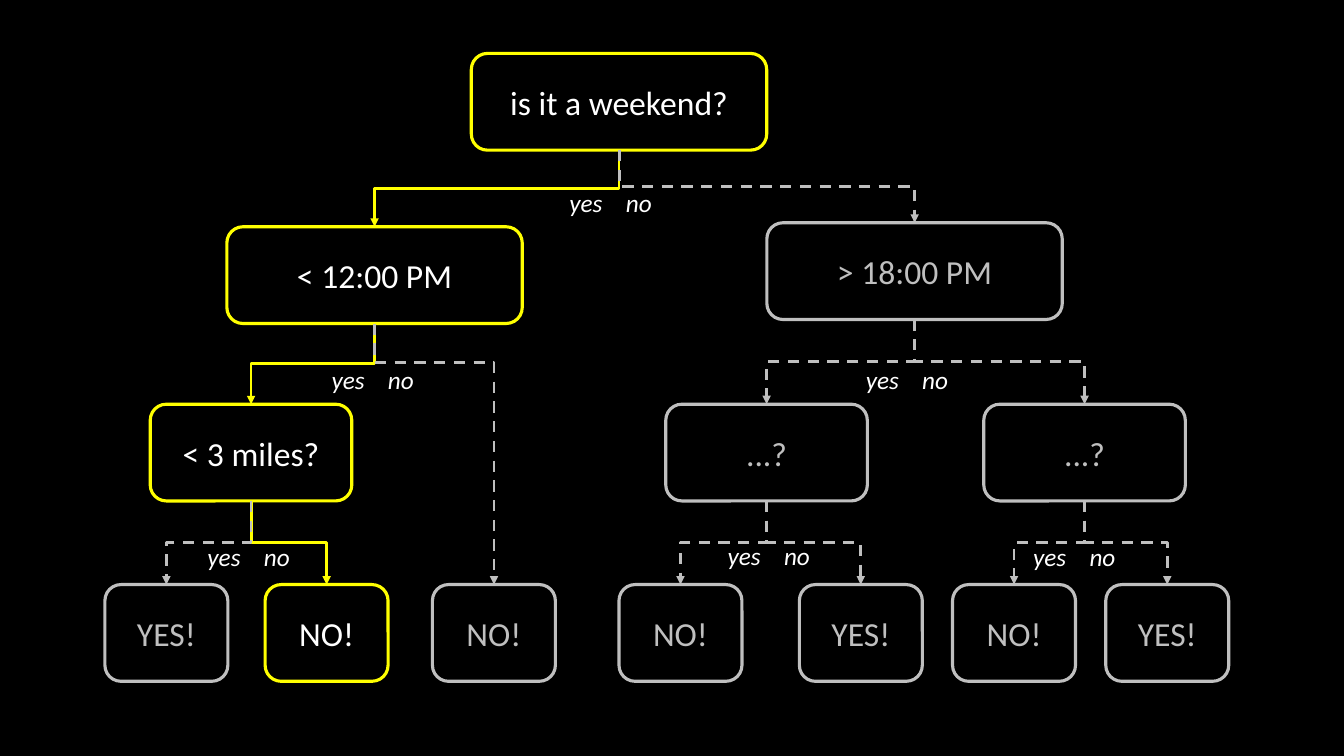
from dataclasses import dataclass

from lxml import etree
from pptx import Presentation
from pptx.dml.color import RGBColor
from pptx.enum.dml import MSO_LINE
from pptx.enum.shapes import MSO_CONNECTOR, MSO_SHAPE
from pptx.enum.text import MSO_ANCHOR, MSO_AUTO_SIZE, PP_ALIGN
from pptx.oxml.ns import qn
from pptx.util import Inches, Pt

ROUNDED, ELBOW, DASH = MSO_SHAPE.ROUNDED_RECTANGLE, MSO_CONNECTOR.ELBOW, MSO_LINE.DASH
MIDDLE, CENTER, GROW = MSO_ANCHOR.MIDDLE, PP_ALIGN.CENTER, MSO_AUTO_SIZE.SHAPE_TO_FIT_TEXT
BOTTOM, TOP = 2, 0
WIDTH, HEIGHT = Inches(13.333), Inches(7.5)


@dataclass(frozen=True)
class Theme:
    """Colours, font and sizes of the decision tree."""
    back: RGBColor = RGBColor.from_string("000000")
    taken: RGBColor = RGBColor.from_string("FFFF00")
    idle: RGBColor = RGBColor.from_string("BFBFBF")
    text: RGBColor = RGBColor.from_string("FFFFFF")
    font: str = "Calibri"
    node_size: Pt = Pt(24)
    label_size: Pt = Pt(18)
    border: Pt = Pt(2.25)
    branch: Pt = Pt(2)


THEME = Theme()
NODE_H, LABEL_W, LABEL_H = 12.8, 9.15, 5.33
QUESTION_W, DETAIL_W, ANSWER_W = 21.98, 15, 9.15
DETAIL_ROW, ANSWER_ROW = 53.47, 77.33
LABEL_GAP = Inches(0.56)

# Key: text, centre column, top row, width, on the taken path.
NODES = {
    "weekend": ("is it a weekend?", 46.06, 7.07, QUESTION_W, True),
    "noon": ("< 12:00 PM", 27.87, 30, QUESTION_W, True),
    "evening": ("> 18:00 PM", 68.05, 29.47, QUESTION_W, False),
    "miles": ("< 3 miles?", 18.68, DETAIL_ROW, DETAIL_W, True),
    "early": ("...?", 57.04, DETAIL_ROW, DETAIL_W, False),
    "late": ("...?", 80.7, DETAIL_ROW, DETAIL_W, False),
    "near": ("YES!", 12.38, ANSWER_ROW, ANSWER_W, False),
    "far": ("NO!", 24.3, ANSWER_ROW, ANSWER_W, True),
    "afternoon": ("NO!", 36.75, ANSWER_ROW, ANSWER_W, False),
    "early_yes": ("NO!", 50.63, ANSWER_ROW, ANSWER_W, False),
    "early_no": ("YES!", 64.05, ANSWER_ROW, ANSWER_W, False),
    "late_yes": ("NO!", 75.45, ANSWER_ROW, ANSWER_W, False),
    "late_no": ("YES!", 86.85, ANSWER_ROW, ANSWER_W, False),
}
BRANCHES = [
    ("weekend", "noon", 0.5), ("weekend", "evening", 0.5),
    ("noon", "miles", 0.5), ("noon", "afternoon", 0.15),
    ("evening", "late", 0.5), ("evening", "early", 0.5),
    ("miles", "far", 0.5), ("miles", "near", 0.5),
    ("early", "early_no", 0.5), ("early", "early_yes", 0.5),
    ("late", "late_no", 0.5), ("late", "late_yes", 0.5),
]
LABELS = [(41.63, 24.13), (23.93, 47.47), (63.68, 47.47),
          (14.7, 70.93), (53.4, 70.8), (76.13, 70.93)]


def area(col, row, cols, rows):
    """Turn percentages of the slide into left, top, width and height."""
    return [round(share * side / 100) for share, side in
            zip((col, row, cols, rows), (WIDTH, HEIGHT) * 2)]


def apply(target, values):
    """Set each named attribute on the target."""
    for name, value in values.items():
        setattr(target, name, value)


def write(tf, text, color, **values):
    """Write one run of text and return its paragraph."""
    p = tf.paragraphs[0]
    r = p.add_run()
    r.text = text
    apply(r.font, {"name": THEME.font, **values})
    r.font.color.rgb = color
    return p


def add_node(s, text, center, row, cols, taken):
    """Add an outlined question or answer box."""
    sp = s.shapes.add_shape(ROUNDED, *area(center - cols / 2, row, cols, NODE_H))
    sp.shadow.inherit = False
    sp.fill.background()
    sp.line.width = THEME.border
    sp.line.color.rgb = THEME.taken if taken else THEME.idle
    apply(sp.text_frame, {"vertical_anchor": MIDDLE, "word_wrap": True})
    p = write(sp.text_frame, text, THEME.text if taken else THEME.idle, size=THEME.node_size)
    p.alignment = CENTER
    return sp


def add_branch(s, parent, child, bend, taken):
    """Join two boxes with an elbow arrow that leaves downwards."""
    c = s.shapes.add_connector(ELBOW, 0, 0, 0, 0)
    c.begin_connect(parent, BOTTOM)
    c.end_connect(child, TOP)
    x1, y1, x2, y2 = c.begin_x, c.begin_y, c.end_x, c.end_y
    drop, run = y2 - y1, abs(x2 - x1)
    apply(c, {"left": (x1 + x2 - drop) // 2, "top": (y1 + y2 - run) // 2,
              "width": drop, "height": run})
    c.line.width = THEME.branch
    c.line.color.rgb = THEME.taken if taken else THEME.idle
    if not taken:
        c.line.dash_style = DASH
    turn_branch(c.element.spPr, x2 > x1, bend)


def turn_branch(props, rightward, bend):
    """Set the turn, bend and arrowhead of a branch and clear its shadow."""
    xfrm = props.find(qn("a:xfrm"))
    xfrm.attrib.pop("flipH", None)
    xfrm.attrib.pop("flipV", None)
    xfrm.set("rot", str((270 if rightward else 90) * 60000))
    if rightward:
        xfrm.set("flipH", "1")
    guides = props.find(qn("a:prstGeom")).find(qn("a:avLst"))
    etree.SubElement(guides, qn("a:gd"), name="adj1", fmla=f"val {round(bend * 100000)}")
    etree.SubElement(props.find(qn("a:ln")), qn("a:tailEnd"), type="triangle")
    etree.SubElement(props, qn("a:effectLst"))


def add_label(s, col, row):
    """Add the yes and no captions below a fork, parted by a tab stop."""
    tf = s.shapes.add_textbox(*area(col, row, LABEL_W, LABEL_H)).text_frame
    apply(tf, {"word_wrap": True, "auto_size": GROW})
    p = write(tf, "yes\tno", THEME.text, size=THEME.label_size, italic=True)
    tabs = etree.SubElement(p._p.get_or_add_pPr(), qn("a:tabLst"))
    etree.SubElement(tabs, qn("a:tab"), pos=str(LABEL_GAP), algn="l")


def main():
    """Build the decision tree slide."""
    prs = Presentation()
    apply(prs, {"slide_width": WIDTH, "slide_height": HEIGHT})
    s = prs.slides.add_slide(prs.slide_layouts[6])
    s.background.fill.solid()
    s.background.fill.fore_color.rgb = THEME.back
    boxes = {key: add_node(s, *node) for key, node in NODES.items()}
    for parent, child, bend in BRANCHES:
        add_branch(s, boxes[parent], boxes[child], bend, NODES[child][-1])
    for col, row in LABELS:
        add_label(s, col, row)
    prs.save("out.pptx")


if __name__ == "__main__":
    main()
